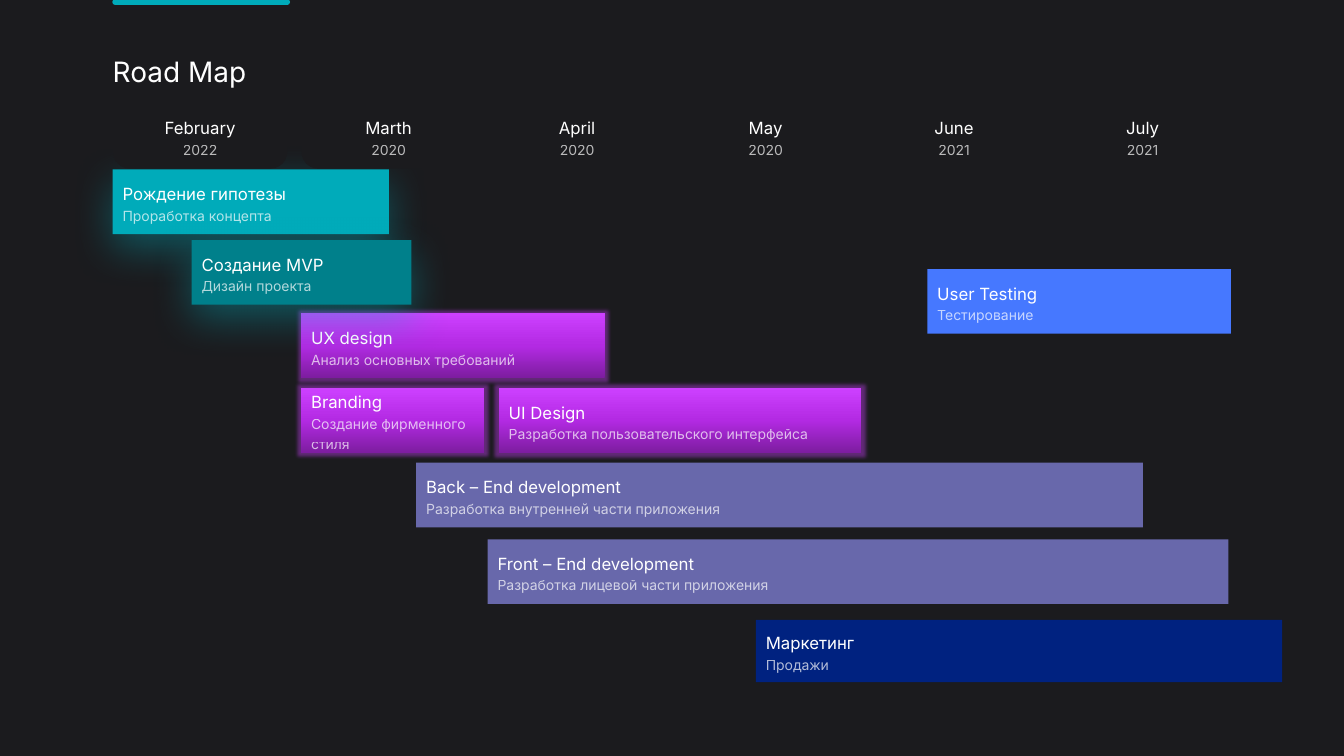
from lxml.etree import SubElement
from pptx import Presentation
from pptx.dml.color import RGBColor
from pptx.enum.shapes import MSO_CONNECTOR as Connector, MSO_SHAPE as Preset
from pptx.enum.text import MSO_ANCHOR as Anchor, PP_ALIGN as Align
from pptx.oxml.ns import qn
from pptx.util import Cm, Pt

BACKGROUND, WHITE, TEAL = "1B1B1E", "FFFFFF", "00ABBA"
PURPLE = ("7D1DA0", "B32AE3", "CD40FF")  # gradient from bottom to top
BAR_HEIGHT = 1.63

MONTHS = [("February", "2022"), ("Marth", "2020"), ("April", "2020"),
          ("May", "2020"), ("June", "2021"), ("July", "2021")]

# Stage, detail, colour, (left, top, width, height)
BACK_STAGES = [
    ("Front – End development", "Разработка лицевой части приложения",
     "6868AB", (12.29, 13.59, 18.67, BAR_HEIGHT)),
    ("Back – End development", "Разработка внутренней части приложения",
     "6868AB", (10.49, 11.66, 18.31, BAR_HEIGHT)),
    ("UI Design", "Разработка пользовательского интерфейса",
     PURPLE, (12.57, 9.78, 9.14, BAR_HEIGHT)),
    ("Branding", "Создание фирменного стиля",
     PURPLE, (7.59, 9.78, 4.62, BAR_HEIGHT)),
    ("UX design", "Анализ основных требований",
     PURPLE, (7.59, 7.9, 7.65, BAR_HEIGHT)),
    ("User Testing", "Тестирование",
     "4678FF", (23.37, 6.78, 7.65, BAR_HEIGHT)),
    ("Рождение гипотезы", "Проработка концепта",
     TEAL, (2.84, 4.27, 6.96, BAR_HEIGHT)),
]
FRONT_STAGES = [
    ("Создание MVP", "Дизайн проекта",
     "00808B", (4.83, 6.05, 5.54, BAR_HEIGHT)),
    ("Маркетинг", "Продажи",
     "002280", (19.05, 15.62, 13.26, 1.57)),
]
SHADOWED = (TEAL, "00808B")


def rgb(hex_colour):
    return RGBColor.from_string(hex_colour)


def add_colour(parent, hex_colour, alpha=100):
    colour = SubElement(parent, qn("a:srgbClr"), val=hex_colour)
    if alpha < 100:
        SubElement(colour, qn("a:alpha"), val=str(alpha * 1000))


def style(paragraph, size, alpha=100, spacing=1.2, align=Align.LEFT):
    paragraph.alignment = align
    paragraph.line_spacing = spacing
    font = paragraph.font
    font.name, font.size = "Inter", Pt(size)
    font.color.rgb = rgb(WHITE)
    if alpha < 100:
        colour = paragraph._p.pPr.find(".//" + qn("a:srgbClr"))
        SubElement(colour, qn("a:alpha"), val=str(alpha * 1000))


def paint(shape, colour):
    """Fill with one colour, or with an upward gradient of several."""
    if isinstance(colour, str):
        shape.fill.solid()
        shape.fill.fore_color.rgb = rgb(colour)
        return
    shape.fill.gradient()
    shape.fill.gradient_angle = 90
    stops = shape._element.spPr.find(".//" + qn("a:gsLst"))
    stops.clear()
    for i, hex_colour in enumerate(colour):
        position = 100000 * i // (len(colour) - 1)
        add_colour(SubElement(stops, qn("a:gs"), pos=str(position)), hex_colour)


def add_card(slide, box, heading, detail, colour, rounding, align, inset):
    """Two-line card shared by the months and the stages."""
    card = slide.shapes.add_shape(Preset.ROUNDED_RECTANGLE, *map(Cm, box))
    card.adjustments[0] = rounding
    paint(card, colour)
    card.line.fill.background()
    card.shadow.inherit = False
    frame = card.text_frame
    frame.word_wrap = True
    frame.vertical_anchor = Anchor.MIDDLE
    frame.margin_left = Cm(inset)
    frame.margin_top = frame.margin_right = frame.margin_bottom = 0
    frame.text = f"{heading}\n{detail}"
    style(frame.paragraphs[0], 12, align=align)
    style(frame.paragraphs[1], 10, alpha=70, align=align)
    return card


def add_stages(slide, stages):
    for heading, detail, colour, box in stages:
        bar = add_card(slide, box, heading, detail, colour, 0, Align.LEFT, 0.25)
        effects = bar._element.spPr.find(qn("a:effectLst"))
        if colour == PURPLE:
            glow = SubElement(effects, qn("a:glow"), rad=str(Pt(5)))
            add_colour(glow, PURPLE[-1], 40)
        elif colour in SHADOWED:
            shadow = SubElement(effects, qn("a:outerShdw"), blurRad=str(Pt(30)),
                                dist=str(Pt(10)), dir="5400000", algn="t",
                                rotWithShape="0")
            add_colour(shadow, TEAL, 40)


def add_months(slide, left, top, pitch, width, height):
    for i, (month, year) in enumerate(MONTHS):
        box = (left + i * pitch, top, width, height)
        add_card(slide, box, month, year, BACKGROUND, 0.256, Align.CENTER, 0)


def add_accent(slide, left, top, width):
    accent = slide.shapes.add_connector(
        Connector.STRAIGHT, Cm(left), Cm(top), Cm(left + width), Cm(top))
    accent.line.color.rgb = rgb(TEAL)
    accent.line.width = Pt(4)
    accent.line._ln.set("cap", "rnd")
    SubElement(accent._element.spPr, qn("a:effectLst"))


def add_title(slide, box):
    frame = slide.shapes.add_textbox(*map(Cm, box)).text_frame
    frame.word_wrap = True
    frame.margin_left = frame.margin_top = 0
    frame.margin_right = frame.margin_bottom = 0
    frame.text = "Road Map"
    style(frame.paragraphs[0], 20, spacing=0.9)


def main():
    deck = Presentation()
    deck.slide_width, deck.slide_height = Cm(33.87), Cm(19.05)
    slide = deck.slides.add_slide(deck.slide_layouts[6])
    slide.background.fill.solid()
    slide.background.fill.fore_color.rgb = rgb(BACKGROUND)

    # From back to front: month cards cover the glow of the first stage
    add_accent(slide, 2.9, 0.05, 4.34)
    add_stages(slide, BACK_STAGES)
    add_months(slide, 2.85, 2.62, 4.75, 4.39, BAR_HEIGHT)
    add_title(slide, (2.84, 1.47, 28.14, 1.55))
    add_stages(slide, FRONT_STAGES)
    deck.save("out.pptx")


if __name__ == "__main__":
    main()
